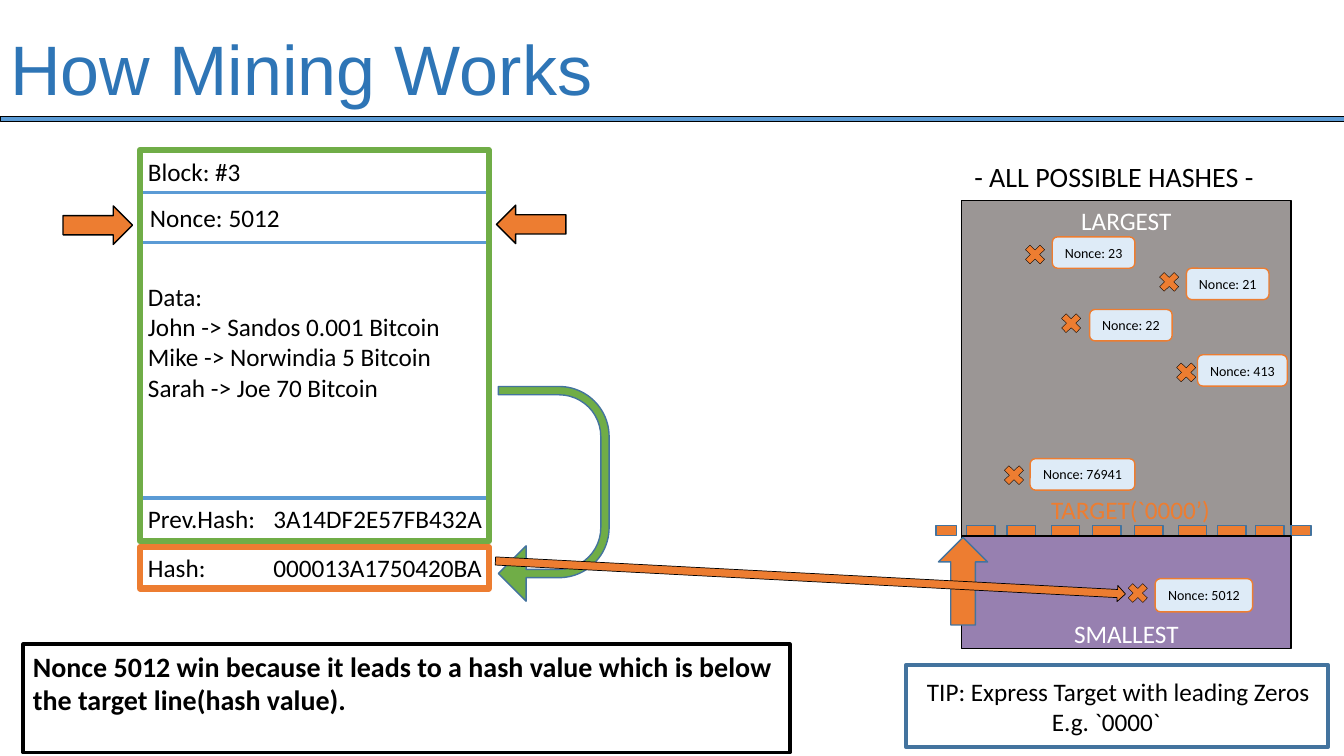
from lxml import etree
from pptx import Presentation
from pptx.dml.color import RGBColor
from pptx.enum.shapes import MSO_CONNECTOR, MSO_SHAPE
from pptx.enum.text import MSO_ANCHOR, MSO_AUTO_SIZE, PP_ALIGN
from pptx.oxml.ns import qn
from pptx.util import Cm, Pt

COLORS = {
    "title": "2E75B6", "blue": "5B9BD5", "outline": "43739E", "pale": "DEEBF7",
    "orange": "ED7D31", "green": "70AD47", "gray": "9B9695", "purple": "9780B0",
    "black": "000000", "white": "FFFFFF",
}
DASH_LEFTS = [24.23, 25.25, 26.37, 27.41, 28.47, 29.57, 30.56, 31.52]
# Label number, cross left and top, tag left, top, width and height
NONCES = [
    ("22", 26.64, 7.8, 27.46, 7.8, 2.08, 0.79),
    ("23", 25.73, 6.07, 26.52, 5.97, 2.08, 0.79),
    ("413", 29.54, 9.04, 30.18, 8.94, 2.26, 0.79),
    ("76941", 25.2, 11.63, 25.96, 11.56, 2.64, 0.79),
    ("5012", 28.32, 14.6, 29.11, 14.58, 2.46, 0.84),
    ("21", 29.11, 6.76, 29.9, 6.76, 2.08, 0.79),
]


def color(name):
    return RGBColor.from_string(COLORS[name])


def write(frame, text, size=18, ink="black", bold=False, font="Calibri",
          align=PP_ALIGN.LEFT, anchor=MSO_ANCHOR.TOP, wrap=True, tab=None):
    """Fill a text frame, one paragraph per line of text."""
    frame.word_wrap = wrap
    frame.auto_size = MSO_AUTO_SIZE.NONE
    frame.vertical_anchor = anchor
    for index, line in enumerate(text.split("\n")):
        paragraph = frame.paragraphs[0] if index == 0 else frame.add_paragraph()
        paragraph.alignment = align
        if tab:
            properties = paragraph._p.get_or_add_pPr()
            tabs = etree.SubElement(properties, qn("a:tabLst"))
            etree.SubElement(tabs, qn("a:tab"), pos=str(Cm(tab)), algn="l")
        run = paragraph.add_run()
        run.text = line
        run.font.size = Pt(size)
        run.font.name = font
        run.font.bold = bold
        run.font.color.rgb = color(ink)


def add_title(slide, text):
    title = slide.shapes.title
    title.left, title.top, title.width, title.height = Cm(0), Cm(0), Cm(29.21), Cm(3.68)
    write(title.text_frame, text, size=50, ink="title", font="Arial",
          anchor=MSO_ANCHOR.MIDDLE)
    title.text_frame.paragraphs[0].line_spacing = 0.9


def add_box(slide, kind, left, top, width, height, fill=None, line="black",
            weight=1, rotation=0):
    shape = slide.shapes.add_shape(kind, Cm(left), Cm(top), Cm(width), Cm(height))
    shape.shadow.inherit = False
    shape.rotation = rotation
    if fill:
        shape.fill.solid()
        shape.fill.fore_color.rgb = color(fill)
    else:
        shape.fill.background()
    shape.line.color.rgb = color(line)
    shape.line.width = Pt(weight)
    return shape


def add_label(slide, text, left, top, width, height=1.02, wrap=False, **style):
    box = slide.shapes.add_textbox(Cm(left), Cm(top), Cm(width), Cm(height))
    write(box.text_frame, text, wrap=wrap, **style)
    return box


def add_divider(slide, left, right, top):
    line = slide.shapes.add_connector(
        MSO_CONNECTOR.STRAIGHT, Cm(left), Cm(top), Cm(right), Cm(top))
    line.line.color.rgb = color("blue")
    line.line.width = Pt(2.25)
    etree.SubElement(line._element.spPr, qn("a:effectLst"))


def add_hash_range(slide):
    """Draw the range of hashes with its target line."""
    add_label(slide, "- ALL POSSIBLE HASHES -", 24.3, 3.9, 7.55, size=20,
              align=PP_ALIGN.CENTER)
    above = add_box(slide, MSO_SHAPE.RECTANGLE, 24.23, 5.05, 8.31, 8.46, "gray")
    write(above.text_frame, "LARGEST", ink="white", align=PP_ALIGN.CENTER)
    dashes = [(23.5, 0.69), *((left, 0.97) for left in DASH_LEFTS), (32.44, 0.69)]
    for left, width in dashes:
        add_box(slide, MSO_SHAPE.MATH_MINUS, left, 12.85, width, 1.04,
                "orange", "outline")
    below = add_box(slide, MSO_SHAPE.RECTANGLE, 24.23, 13.51, 8.31, 2.84, "purple")
    below.text_frame.margin_bottom = 0
    write(below.text_frame, "SMALLEST", ink="white", align=PP_ALIGN.CENTER,
          anchor=MSO_ANCHOR.BOTTOM)
    add_box(slide, MSO_SHAPE.UP_ARROW, 23.65, 13.54, 1.24, 2.21, "orange", "outline")
    add_label(slide, "TARGET(`0000’)", 26.24, 12.32, 4.55, ink="orange")


def add_tip(slide):
    add_box(slide, MSO_SHAPE.RECTANGLE, 22.83, 16.76, 10.64, 2.06,
            line="outline", weight=3)
    tip = add_label(slide, "TIP: Express Target with leading Zeros\nE.g. `0000`",
                    23.11, 16.92, 10.4, 1.8, wrap=True)
    example = tip.text_frame.paragraphs[1]
    example._p.get_or_add_pPr().set("marL", str(Cm(3.15)))


def add_block(slide):
    """Draw the block with its fields and its hash."""
    add_label(slide, "Block: #3", 3.48, 3.81, 2.87)
    add_label(slide, "Nonce:", 3.53, 4.98, 2.36)
    add_label(slide, "5012", 5.51, 4.98, 1.8)
    add_label(slide, "Data:\nJohn -> Sandos 0.001 Bitcoin\n"
              "Mike -> Norwindia 5 Bitcoin\nSarah -> Joe 70 Bitcoin",
              3.48, 6.96, 8.05, 3.33)
    add_label(slide, "Prev.Hash:\t3A14DF2E57FB432A", 3.48, 12.55, 9.3,
              wrap=True, tab=3.16)
    add_label(slide, "Hash:\t000013A1750420BA", 3.48, 13.79, 9.3,
              wrap=True, tab=3.16)
    for top in (4.85, 6.12, 12.55):
        add_divider(slide, 3.53, 12.35, top)
    for top, height, line in ((3.78, 9.86, "green"), (13.79, 1.04, "orange")):
        add_box(slide, MSO_SHAPE.RECTANGLE, 3.53, top, 8.79, height,
                line=line, weight=4.5)


def add_arrows(slide):
    for left, top, rotation in ((1.98, 4.8, 270), (12.9, 4.78, 90)):
        add_box(slide, MSO_SHAPE.DOWN_ARROW, left, top, 0.97, 1.75, "orange",
                rotation=rotation)
    turn = add_box(slide, MSO_SHAPE.U_TURN_ARROW, 11.25, 11.05, 5.41, 2.79,
                   "green", "outline", rotation=90)
    for index, value in enumerate((0.075, 0.25, 0.25, 0.452, 1)):
        turn.adjustments[index] = value
    add_box(slide, MSO_SHAPE.DOWN_ARROW, 20.22, 6.6, 0.41, 15.9, "orange",
            weight=0.5, rotation=273)


def add_nonce(slide, number, cross_left, cross_top, left, top, width, height):
    add_box(slide, MSO_SHAPE.MATH_MULTIPLY, cross_left, cross_top, 0.71, 0.69,
            "orange", weight=0.25)
    tag = add_box(slide, MSO_SHAPE.ROUNDED_RECTANGLE, left, top, width, height,
                  "pale", "orange")
    write(tag.text_frame, f"Nonce: {number}", size=10, align=PP_ALIGN.CENTER,
          anchor=MSO_ANCHOR.MIDDLE)


def main():
    presentation = Presentation()
    presentation.slide_width, presentation.slide_height = Cm(33.87), Cm(19.05)
    slide = presentation.slides.add_slide(presentation.slide_layouts[5])
    add_title(slide, "How Mining Works")
    add_box(slide, MSO_SHAPE.RECTANGLE, 0, 2.93, 33.87, 0.13, "blue", weight=0.25)
    add_hash_range(slide)
    add_tip(slide)
    add_block(slide)
    add_arrows(slide)
    for nonce in NONCES:
        add_nonce(slide, *nonce)
    conclusion = add_box(slide, MSO_SHAPE.RECTANGLE, 0.58, 16.23, 19.33, 2.74,
                         weight=2.25)
    write(conclusion.text_frame, "Nonce 5012 win because it leads to a hash value "
          "which is below the target line(hash value).", size=20, bold=True)
    presentation.save("out.pptx")


if __name__ == "__main__":
    main()
